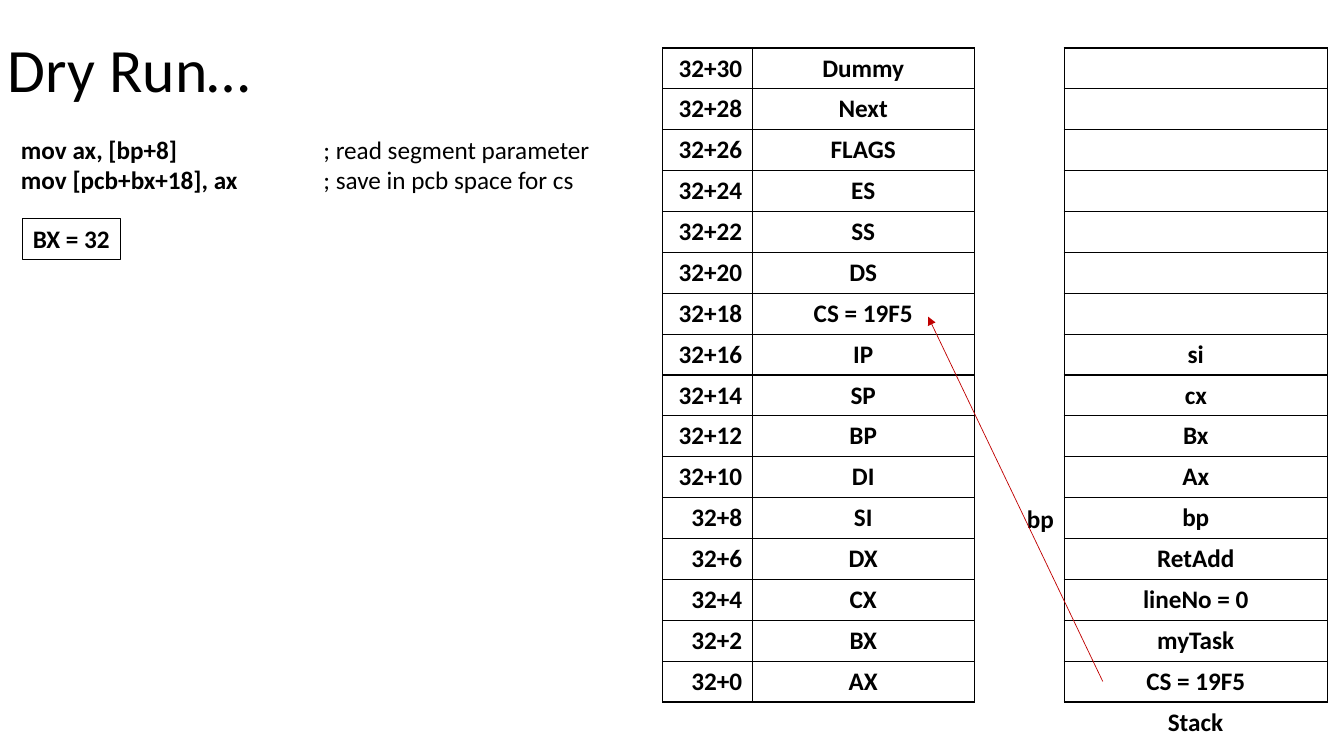
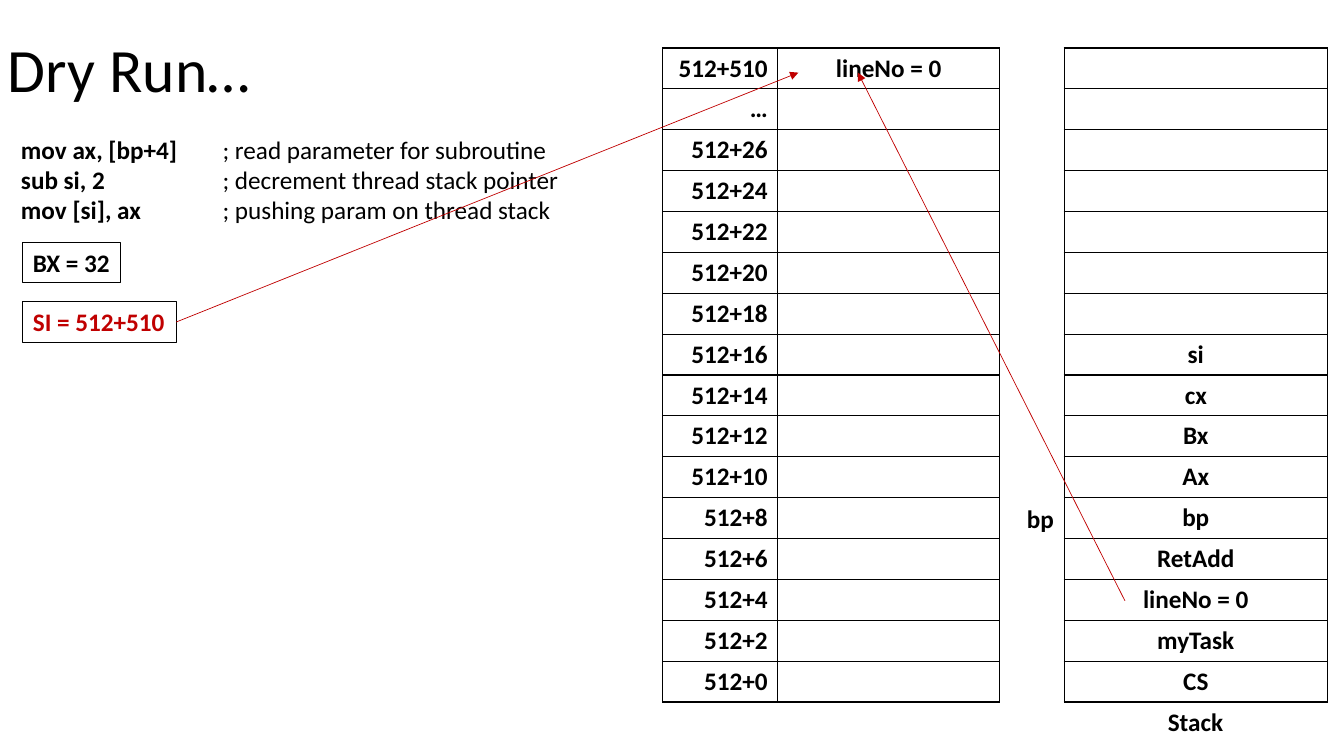
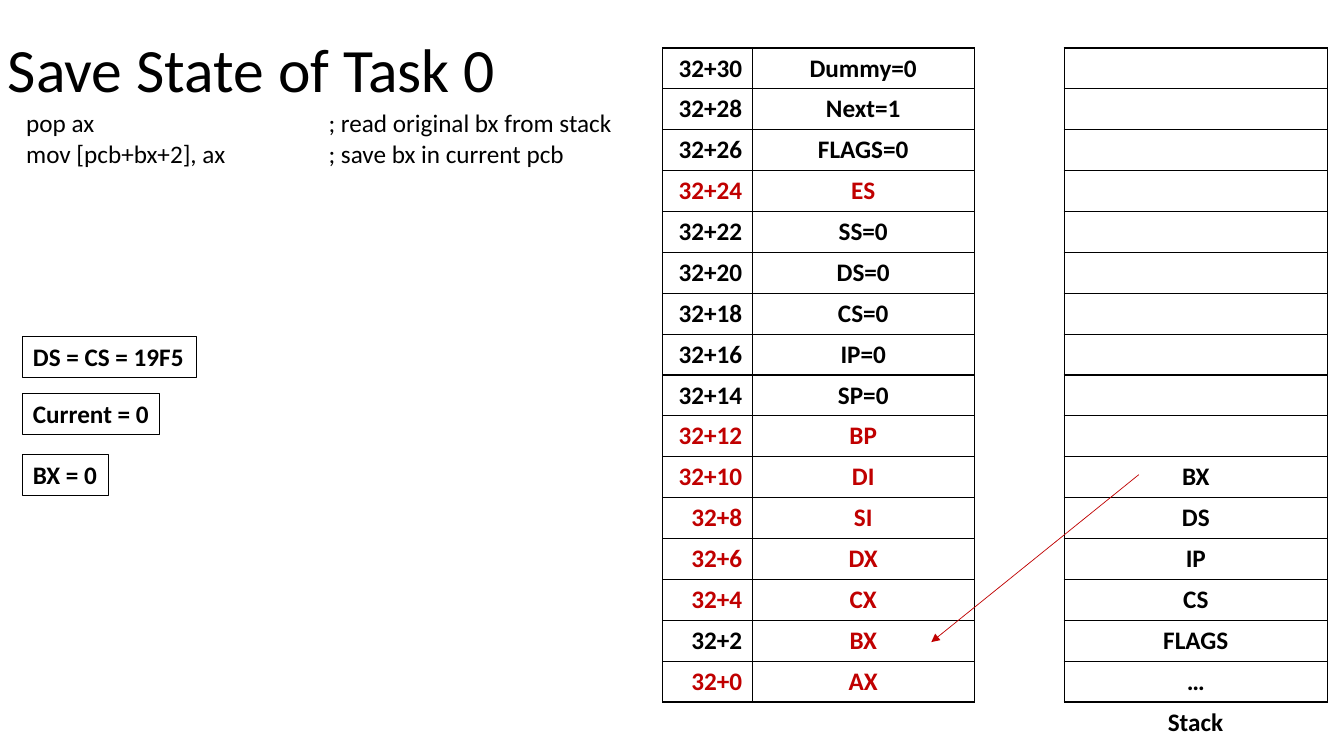
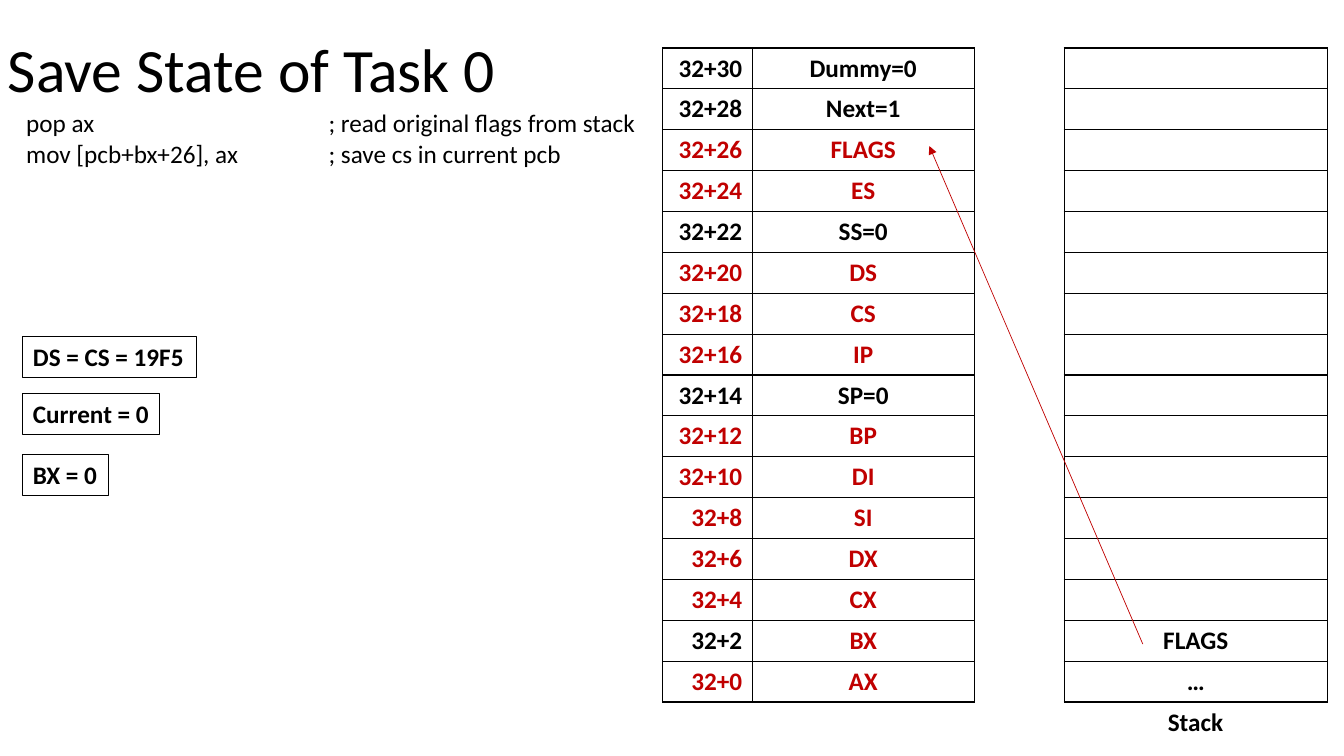
"""Build four slides that trace saved registers between a stack and a control block."""
from lxml import etree
from pptx import Presentation
from pptx.dml.color import RGBColor
from pptx.enum.shapes import MSO_CONNECTOR as Connector, MSO_SHAPE as Shape
from pptx.enum.text import MSO_ANCHOR as Anchor, MSO_AUTO_SIZE as AutoSize, PP_ALIGN as Align
from pptx.oxml.ns import qn
from pptx.util import Cm, Pt

FONT = "Calibri"
BLACK = "000000"
RED = "C00000"
ROWS = 16
ROW_HEIGHT = 1.03
TABLE_TOP = 1.21
MEMORY_LEFT = 16.7
STACK_LEFT = 26.82
REGISTERS = ["Dummy", "Next", "FLAGS", "ES", "SS", "DS", "CS", "IP",
             "SP", "BP", "DI", "SI", "DX", "CX", "BX", "AX"]
CALL_STACK = ["si", "cx", "Bx", "Ax", "bp", "RetAdd", "lineNo = 0", "myTask"]
SAVED = {"ES", "BP", "DI", "SI", "DX", "CX", "BX", "AX"}


def color(value):
    return RGBColor.from_string(value)


def style(paragraph, size=18, bold=True, ink=BLACK, align=Align.LEFT):
    paragraph.alignment = align
    font = paragraph.font
    font.name = FONT
    font.size = Pt(size)
    font.bold = bold
    font.color.rgb = color(ink)


def add_text_box(slide, left, top, width, height):
    shape = slide.shapes.add_textbox(Cm(left), Cm(top), Cm(width), Cm(height))
    shape.text_frame.word_wrap = False
    return shape.text_frame


def add_title(slide, text):
    frame = add_text_box(slide, -0.05, 0, 29.21, 3.68)
    frame.word_wrap = True
    frame.vertical_anchor = Anchor.MIDDLE
    paragraph = frame.paragraphs[0]
    paragraph.text = text
    paragraph.line_spacing = 0.9
    style(paragraph, size=44, bold=False)


def add_label(slide, text, left, top, width):
    paragraph = add_text_box(slide, left, top, width, 1.02).paragraphs[0]
    paragraph.text = text
    style(paragraph)


def add_tab_stop(paragraph, position):
    properties = paragraph._p.get_or_add_pPr()
    tabs = etree.SubElement(properties, qn("a:tabLst"))
    etree.SubElement(tabs, qn("a:tab"), pos=str(Cm(position)), algn="l")


def add_code(slide, lines, left, top, width, tab, bold):
    frame = add_text_box(slide, left, top, width, 0.25 + 0.77 * len(lines))
    for index, (instruction, comment) in enumerate(lines):
        paragraph = frame.add_paragraph() if index else frame.paragraphs[0]
        add_tab_stop(paragraph, tab)
        style(paragraph, bold=False)
        run = paragraph.add_run()
        run.text = instruction
        if bold:
            run.font.bold = True
        paragraph.add_run().text = "\t" + comment


def add_register_box(slide, text, top, width, ink=BLACK):
    shape = slide.shapes.add_shape(Shape.RECTANGLE, Cm(0.58), Cm(top), Cm(width), Cm(1.03))
    shape.shadow.inherit = False
    shape.fill.background()
    shape.line.color.rgb = color(BLACK)
    shape.line.width = Pt(0.75)
    frame = shape.text_frame
    frame.word_wrap = False
    frame.auto_size = AutoSize.SHAPE_TO_FIT_TEXT
    frame.vertical_anchor = Anchor.TOP
    frame.paragraphs[0].text = text
    style(frame.paragraphs[0], ink=ink)
    return shape


def add_arrow(slide, start, end, source=None):
    points = [Cm(value) for value in (*start, *end)]
    arrow = slide.shapes.add_connector(Connector.STRAIGHT, *points)
    if source is not None:
        arrow.begin_connect(source, 3)
    arrow.line.color.rgb = color(RED)
    arrow.line.width = Pt(0.5)
    etree.SubElement(arrow.line._get_or_add_ln(), qn("a:tailEnd"), type="triangle")
    etree.SubElement(arrow._element.spPr, qn("a:effectLst"))


def add_borders(cell):
    properties = cell._tc.get_or_add_tcPr()
    for index, side in enumerate(("lnL", "lnR", "lnT", "lnB")):
        line = etree.Element(qn("a:" + side), w=str(Pt(1)))
        fill = etree.SubElement(line, qn("a:solidFill"))
        etree.SubElement(fill, qn("a:srgbClr"), val=BLACK)
        properties.insert(index, line)


def add_grid(slide, left, widths, aligns, rows):
    """Draw a bordered table whose rows hold (text, colour) pairs."""
    table = slide.shapes.add_table(len(rows), len(widths), Cm(left), Cm(TABLE_TOP),
                                   Cm(sum(widths)), Cm(ROW_HEIGHT * len(rows))).table
    table.first_row = False
    table.horz_banding = False
    for column, width in zip(table.columns, widths):
        column.width = Cm(width)
    for row, entries in zip(table.rows, rows):
        row.height = Cm(ROW_HEIGHT)
        for cell, (text, ink), align in zip(row.cells, entries, aligns):
            cell.fill.background()
            add_borders(cell)
            paragraph = cell.text_frame.paragraphs[0]
            paragraph.text = text
            style(paragraph, ink=ink, align=align)


def add_stack(slide, items):
    """Draw the stack with its items resting on the bottom rows."""
    texts = [""] * (ROWS - len(items)) + items
    add_grid(slide, STACK_LEFT, [6.63], [Align.CENTER], [[(text, BLACK)] for text in texts])
    add_label(slide, "Stack", 29.18, 17.68, 1.93)


def add_memory(slide, address_width, rows):
    add_grid(slide, MEMORY_LEFT, [address_width, 5.59], [Align.RIGHT, Align.CENTER], rows)


def addresses(base):
    return [f"{base}+{offset}" for offset in range(2 * ROWS - 2, -1, -2)]


def start_slide(presentation, title, stack):
    slide = presentation.slides.add_slide(presentation.slide_layouts[6])
    add_title(slide, title)
    add_stack(slide, stack)
    return slide


def start_dry_run(presentation, code, code_width, tab, stack_bottom, box_top):
    slide = start_slide(presentation, "Dry Run…", CALL_STACK + [stack_bottom])
    add_code(slide, code, 0.28, 3.25, code_width, tab, bold=True)
    add_register_box(slide, "BX = 32", box_top, 2.46)
    add_label(slide, "bp", 25.63, 12.55, 1.19)
    return slide


def add_segment_slide(presentation):
    code = [("mov ax, [bp+8]", "; read segment parameter"),
            ("mov [pcb+bx+18], ax", "; save in pcb space for cs")]
    slide = start_dry_run(presentation, code, 15.09, 7.62, "CS = 19F5", 5.51)
    values = ["CS = 19F5" if name == "CS" else name for name in REGISTERS]
    add_memory(slide, 2.26, [[(address, BLACK), (value, BLACK)]
                             for address, value in zip(addresses(32), values)])
    add_arrow(slide, (27.79, 17.17), (23.39, 7.98))


def add_parameter_slide(presentation):
    code = [("mov ax, [bp+4]", "; read parameter for subroutine"),
            ("sub si, 2", "; decrement thread stack pointer"),
            ("mov [si], ax", "; pushing param on thread stack")]
    slide = start_dry_run(presentation, code, 14.2, 5.08, "CS", 6.1)
    labels = ["512+510", "…"] + addresses(512)[2:]
    values = ["lineNo = 0"] + [""] * (ROWS - 1)
    add_memory(slide, 2.9, [[(label, BLACK), (value, BLACK)]
                            for label, value in zip(labels, values)])
    pointer = add_register_box(slide, "SI = 512+510", 7.6, 3.86, RED)
    add_arrow(slide, (4.44, 8.12), (20.12, 1.83), source=pointer)
    add_arrow(slide, (28.35, 15.14), (21.62, 1.83))


def state_row(address, name, saved):
    """Return a register's cells, red once its value is saved."""
    if name in saved:
        return [(address, BLACK if name == "BX" else RED), (name, RED)]
    return [(address, BLACK), (f"{name}={int(name == 'Next')}", BLACK)]


def add_state_slide(presentation, code, code_width, stack, saved, start, end):
    slide = start_slide(presentation, "Save State of Task 0", stack)
    add_code(slide, code, 0.41, 2.59, code_width, 7.62, bold=False)
    add_memory(slide, 2.26, [state_row(address, name, saved)
                             for address, name in zip(addresses(32), REGISTERS)])
    for text, top, width in (("DS = CS = 19F5", 8.48, 4.37),
                             ("Current = 0", 9.91, 3.45),
                             ("BX = 0", 11.46, 2.16)):
        add_register_box(slide, text, top, width)
    add_arrow(slide, start, end)


def main():
    presentation = Presentation()
    presentation.slide_width = Cm(33.87)
    presentation.slide_height = Cm(19.05)
    add_segment_slide(presentation)
    add_parameter_slide(presentation)
    add_state_slide(presentation,
                    [("pop ax", "; read original bx from stack"),
                     ("mov [pcb+bx+2], ax", "; save bx in current pcb")],
                    15.42, ["BX", "DS", "IP", "CS", "FLAGS", "…"], SAVED,
                    (28.7, 11.96), (23.47, 16.18))
    add_state_slide(presentation,
                    [("pop ax", "; read original flags from stack"),
                     ("mov [pcb+bx+26], ax", "; save cs in current pcb")],
                    16.03, ["FLAGS", "…"], SAVED | {"FLAGS", "DS", "CS", "IP"},
                    (28.8, 16.23), (23.42, 3.68))
    presentation.save("out.pptx")


if __name__ == "__main__":
    main()
